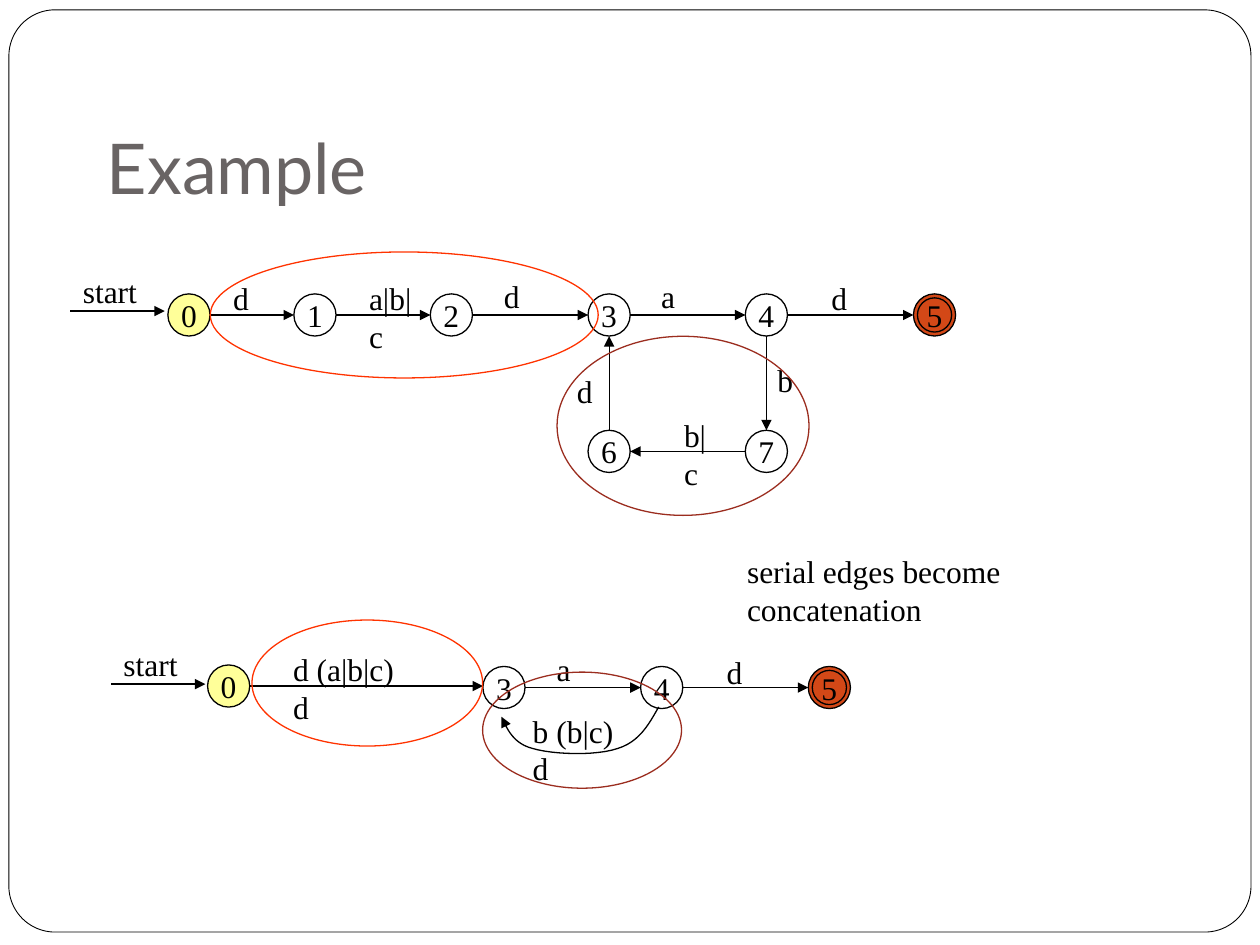
from typing import NamedTuple, Optional

import lxml.etree
import pptx
import pptx.dml.color
import pptx.enum.shapes
import pptx.enum.text
import pptx.oxml.ns
import pptx.util

Cm = pptx.util.Cm
Pt = pptx.util.Pt
SHAPE = pptx.enum.shapes.MSO_SHAPE
ANCHOR = pptx.enum.text.MSO_ANCHOR
ALIGN = pptx.enum.text.PP_ALIGN
BLACK, YELLOW, ORANGE = "000000", "FFFF99", "D34817"
RED, BROWN = "FF3300", "9B2D1F"
NODE, RING = 0.85, 0.69


class Node(NamedTuple):
    name: str
    x: float
    y: float
    fill: Optional[str] = None


class Label(NamedTuple):
    text: str
    x: float
    y: float
    w: float = 0.79


class Loop(NamedTuple):
    x: float
    y: float
    w: float
    h: float
    color: str


class Automaton(NamedTuple):
    nodes: list[Node]
    edges: list[str]
    start: tuple[float, float]
    labels: list[Label]
    loops: list[Loop]


FULL = Automaton(
    [Node("0", 3.81, 6.35, YELLOW), Node("1", 6.35, 6.35), Node("2", 9.1, 6.35),
     Node("3", 12.28, 6.35), Node("4", 15.45, 6.35), Node("5", 18.84, 6.35, ORANGE),
     Node("6", 12.28, 9.1), Node("7", 15.45, 9.1)],
    ["01", "12", "23", "34", "45", "47", "76", "63"],
    (1.42, 6.27),
    [Label("start", 1.42, 5.36, 1.75), Label("d", 4.45, 5.51),
     Label("a|b|c", 7.19, 5.51, 1.52), Label("d", 9.91, 5.46),
     Label("a", 13.08, 5.46), Label("d", 16.51, 5.51), Label("d", 11.38, 7.37),
     Label("b", 15.42, 7.16), Label("b|c", 13.54, 8.26, 1.17)],
    [Loop(4.24, 5.08, 7.82, 2.54, RED), Loop(11.23, 6.78, 5.08, 3.61, BROWN)],
)
REDUCED = Automaton(
    [Node("0", 4.61, 13.83, YELLOW), Node("3", 10.16, 13.86),
     Node("4", 13.34, 13.86), Node("5", 16.72, 13.86, ORANGE)],
    ["03", "34", "45"],
    (2.24, 13.79),
    [Label("start", 2.24, 12.88, 1.75), Label("d (a|b|c) d", 5.66, 12.98, 2.74),
     Label("a", 10.97, 12.98), Label("d", 14.4, 13.03),
     Label("b (b|c) d", 10.49, 14.22, 2.39)],
    [Loop(5.08, 12.5, 4.65, 2.54, RED), Loop(9.73, 13.55, 4.01, 2.34, BROWN)],
)
RETURN_CURVE = [(13.28, 14.25), (13.08, 14.61), (12.88, 14.96), (12.45, 15.09),
                (12.01, 15.24), (11.15, 15.21), (10.74, 15.09),
                (10.36, 14.99), (10.24, 14.73), (10.11, 14.45)]


def rgb(color: str) -> pptx.dml.color.RGBColor:
    return pptx.dml.color.RGBColor.from_string(color)


def style_text(tf, size: float, name: str, color: str) -> None:
    for p in tf.paragraphs:
        for r in p.runs:
            r.font.size = Pt(size)
            r.font.name = name
            r.font.color.rgb = rgb(color)


def add_outline(s, kind, x: float, y: float, w: float, h: float,
                line: str = BLACK, fill: Optional[str] = None, width: float = 0.75):
    sp = s.shapes.add_shape(kind, Cm(x), Cm(y), Cm(w), Cm(h))
    sp.shadow.inherit = False
    sp.line.color.rgb = rgb(line)
    sp.line.width = Pt(width)
    if fill:
        sp.fill.solid()
        sp.fill.fore_color.rgb = rgb(fill)
    else:
        sp.fill.background()
    return sp


def add_circle(s, node: Node, size: float, fill: Optional[str] = None):
    return add_outline(s, SHAPE.OVAL, node.x - size / 2, node.y - size / 2,
                       size, size, fill=fill)


def add_node(s, node: Node) -> None:
    sp = add_circle(s, node, NODE, node.fill)
    tf = sp.text_frame
    tf.text = node.name
    tf.word_wrap = False
    tf.vertical_anchor = ANCHOR.MIDDLE
    tf.paragraphs[0].alignment = ALIGN.CENTER
    style_text(tf, 18, "Times New Roman", BLACK)
    if node.fill == ORANGE:
        add_circle(s, node, RING)


def add_arrowhead(sp) -> None:
    sp.line.color.rgb = rgb(BLACK)
    sp.line.width = Pt(0.75)
    ln = sp.line._get_or_add_ln()
    lxml.etree.SubElement(ln, pptx.oxml.ns.qn("a:tailEnd"), type="triangle")


def add_arrow(s, x1: float, y1: float, x2: float, y2: float) -> None:
    line = s.shapes.add_connector(pptx.enum.shapes.MSO_CONNECTOR.STRAIGHT,
                                  Cm(x1), Cm(y1), Cm(x2), Cm(y2))
    add_arrowhead(line)
    lxml.etree.SubElement(line._element.spPr, pptx.oxml.ns.qn("a:effectLst"))


def add_edge(s, a: Node, b: Node) -> None:
    r = NODE / 2
    if abs(b.x - a.x) > abs(b.y - a.y):
        step = r if b.x > a.x else -r
        add_arrow(s, a.x + step, a.y, b.x - step, a.y)
    else:
        step = r if b.y > a.y else -r
        add_arrow(s, a.x, a.y + step, a.x, b.y - step)


def add_label(s, label: Label) -> None:
    sp = s.shapes.add_textbox(Cm(label.x), Cm(label.y), Cm(label.w), Cm(0.94))
    tf = sp.text_frame
    tf.text = label.text
    tf.word_wrap = True
    style_text(tf, 18, "Times New Roman", BLACK)


def add_curve(s, points: list[tuple[float, float]], steps: int = 12) -> None:
    path = []
    for i in range(0, len(points) - 1, 3):
        for k in range(1, steps + 1):
            t = k / steps
            weights = ((1 - t) ** 3, 3 * t * (1 - t) ** 2, 3 * t * t * (1 - t), t ** 3)
            x, y = (sum(w * c for w, c in zip(weights, axis))
                    for axis in zip(*points[i:i + 4]))
            path.append((Cm(x), Cm(y)))
    x, y = points[0]
    fb = s.shapes.build_freeform(Cm(x), Cm(y))
    fb.add_line_segments(path, close=False)
    sp = fb.convert_to_shape()
    sp.shadow.inherit = False
    sp.fill.background()
    add_arrowhead(sp)


def add_automaton(s, automaton: Automaton) -> None:
    nodes = {node.name: node for node in automaton.nodes}
    for node in automaton.nodes:
        add_node(s, node)
    for source, target in automaton.edges:
        add_edge(s, nodes[source], nodes[target])
    x, y = automaton.start
    add_arrow(s, x, y, x + 1.9, y)
    for label in automaton.labels:
        add_label(s, label)
    for loop in automaton.loops:
        add_outline(s, SHAPE.OVAL, *loop)


def add_title(s, text: str) -> None:
    sp = s.shapes.title
    sp.left, sp.top, sp.width, sp.height = Cm(1.9), Cm(1.27), Cm(21.59), Cm(3.18)
    tf = sp.text_frame
    tf.text = text
    tf.auto_size = pptx.enum.text.MSO_AUTO_SIZE.NONE
    tf.vertical_anchor = ANCHOR.BOTTOM
    tf.margin_bottom = Cm(0.25)
    tf.paragraphs[0].alignment = ALIGN.LEFT
    style_text(tf, 40, "Lato", "696464")


def main() -> None:
    prs = pptx.Presentation()
    prs.slide_width, prs.slide_height = Cm(25.4), Cm(19.05)
    s = prs.slides.add_slide(prs.slide_layouts[5])
    frame = add_outline(s, SHAPE.ROUNDED_RECTANGLE, 0.18, 0.2, 25.04, 18.59,
                        fill="FFFFFF", width=0.5)
    frame.adjustments[0] = 0.05
    s.shapes._spTree.insert(2, frame._element)
    add_title(s, "Example")
    add_automaton(s, FULL)
    add_automaton(s, REDUCED)
    add_curve(s, RETURN_CURVE)
    add_label(s, Label("serial edges become concatenation", 14.81, 11, 8.36))
    prs.save("out.pptx")


if __name__ == "__main__":
    main()
